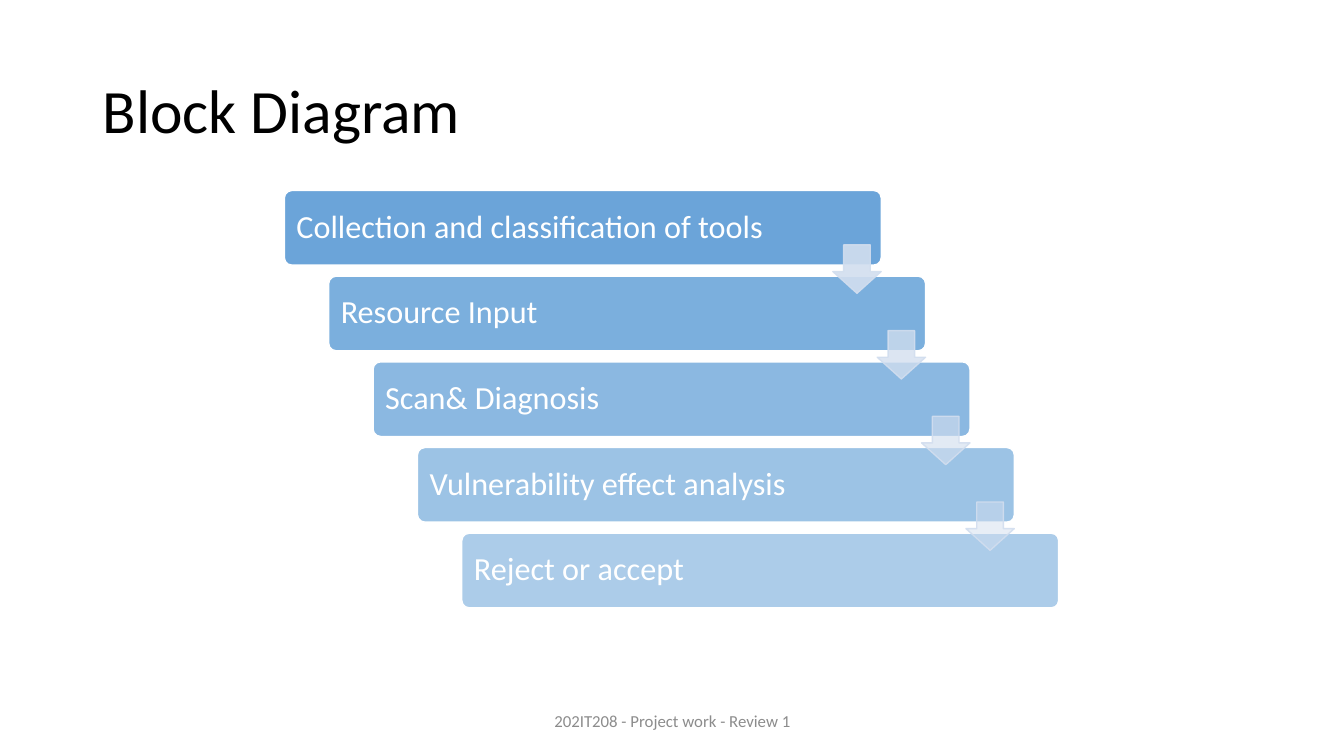
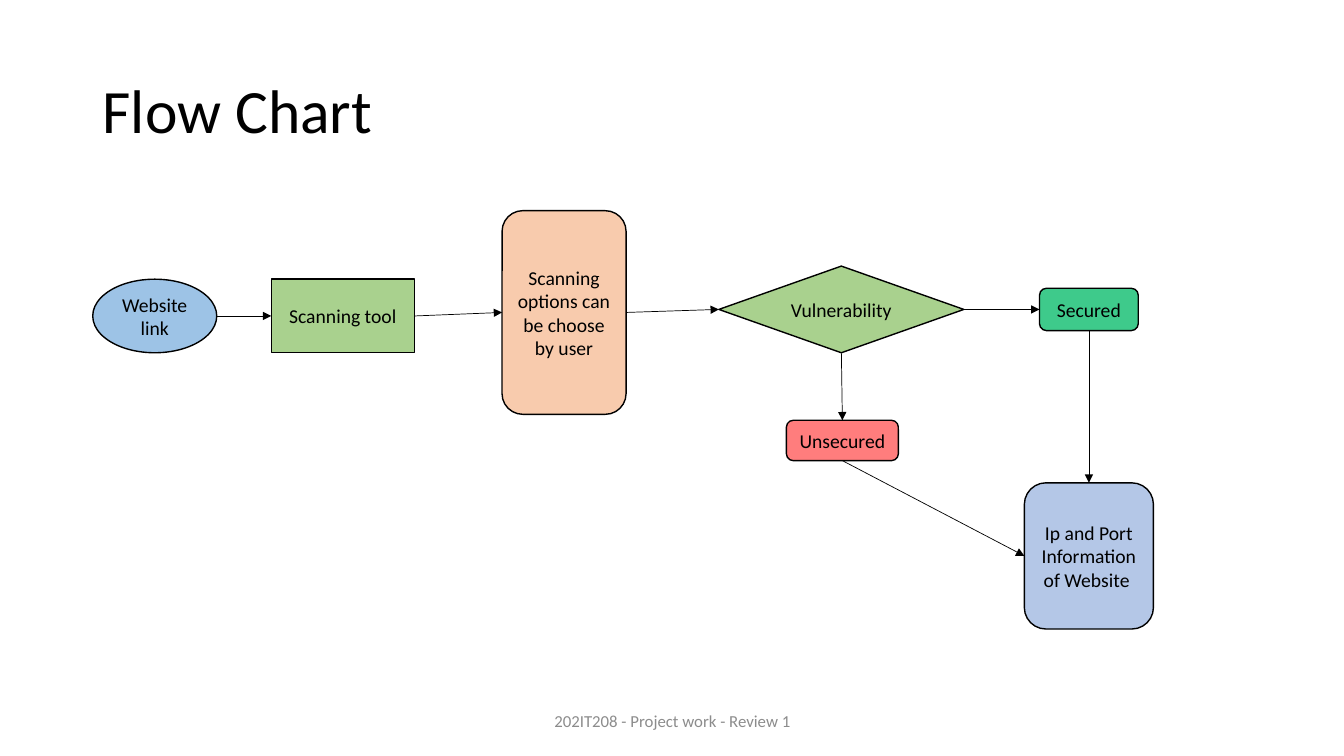
"""Build the block diagram and flow chart slides of a project review."""
from lxml import etree
from pptx import Presentation
from pptx.dml.color import RGBColor
from pptx.enum import shapes, text
from pptx.oxml.ns import qn
from pptx.util import Inches, Pt

COLORS = {
    "ink": "000000", "paper": "FFFFFF", "footer": "8C8C8C",
    "step": "5B9BD5", "arrow": "D2DEEF", "start": "9DC3E6",
    "process": "A9D18E", "options": "F8CBAD", "secured": "3ECA8B",
    "unsecured": "FF7D7D", "result": "B4C7E7",
}
FORM = shapes.MSO_SHAPE
ALIGN = text.PP_ALIGN
TOP, LEFT, BOTTOM, RIGHT = range(4)
FOOTER = "202IT208 - Project work - Review 1"
TITLE_STYLE = {"size": 44, "color": "ink", "align": ALIGN.LEFT, "spacing": 0.9}
FOOTER_STYLE = {"size": 12, "color": "footer", "align": ALIGN.CENTER}
STEP_STYLE = {"size": 23, "color": "paper", "align": ALIGN.LEFT, "spacing": 0.9}
NODE_STYLE = {"size": 14, "color": "ink", "align": ALIGN.CENTER, "inset": 0.08}

STEPS = ["Collection and classification of tools", "Resource Input",
         "Scan& Diagnosis", "Vulnerability effect analysis", "Reject or accept"]
ARROW_ALPHAS = [90, 77, 63, 50]

NODES = {
    "tool": ("Scanning tool", FORM.RECTANGLE, "process", (2.69, 2.77, 1.42, 0.73)),
    "link": ("Website link", FORM.OVAL, "start", (0.92, 2.77, 1.23, 0.73)),
    "options": ("Scanning options can be choose by user", FORM.ROUNDED_RECTANGLE,
                "options", (4.98, 2.09, 1.23, 2.02)),
    "check": ("Vulnerability", FORM.DIAMOND, "process", (7.13, 2.64, 2.43, 0.86)),
    "secured": ("Secured", FORM.ROUNDED_RECTANGLE, "secured", (10.31, 2.86, 0.98, 0.42)),
    "unsecured": ("Unsecured", FORM.ROUNDED_RECTANGLE, "unsecured", (7.8, 4.17, 1.11, 0.4)),
    "result": ("Ip and Port Information of Website ", FORM.ROUNDED_RECTANGLE,
               "result", (10.16, 4.79, 1.28, 1.45)),
}
FLOWS = [
    ("link", RIGHT, "tool", LEFT), ("tool", RIGHT, "options", LEFT),
    ("options", RIGHT, "check", LEFT), ("check", RIGHT, "secured", LEFT),
    ("check", BOTTOM, "unsecured", TOP), ("unsecured", BOTTOM, "result", LEFT),
    ("secured", BOTTOM, "result", TOP),
]


def rgb(name):
    return RGBColor.from_string(COLORS[name])


def write(shape, words, style):
    frame = shape.text_frame
    inset = Inches(style.get("inset", 0.1))
    settings = {"word_wrap": True, "vertical_anchor": text.MSO_ANCHOR.MIDDLE,
                "margin_left": inset, "margin_right": inset}
    for key, value in settings.items():
        setattr(frame, key, value)
    paragraph = frame.paragraphs[0]
    paragraph.text = words
    paragraph.alignment = style["align"]
    paragraph.line_spacing = style.get("spacing", 1.0)
    for key, value in {"name": "Calibri", "size": Pt(style["size"])}.items():
        setattr(paragraph.font, key, value)
    paragraph.font.color.rgb = rgb(style["color"])


def add_label(slide, words, box, style):
    write(slide.shapes.add_textbox(*map(Inches, box)), words, style)


def set_alpha(fill_format, percent):
    color = fill_format._xPr.find(qn("a:solidFill"))[0]
    etree.SubElement(color, qn("a:alpha"), val=str(percent * 1000))


def add_block(slide, form, box, fill, line, fill_alpha=100, line_alpha=100, adjust=()):
    block = slide.shapes.add_shape(form, *map(Inches, box))
    block.shadow.inherit = False
    for index, value in enumerate(adjust):
        block.adjustments[index] = value
    block.line.width = Pt(1)
    paints = ((block.fill, fill, fill_alpha), (block.line.fill, line, line_alpha))
    for paint, color, alpha in paints:
        paint.solid()
        paint.fore_color.rgb = rgb(color)
        if alpha < 100:
            set_alpha(paint, alpha)
    return block


def side_point(shape, side):
    across = {LEFT: 0, RIGHT: shape.width}.get(side, shape.width // 2)
    down = {TOP: 0, BOTTOM: shape.height}.get(side, shape.height // 2)
    return shape.left + across, shape.top + down


def add_flow(slide, source, source_side, target, target_side):
    flow = slide.shapes.add_connector(
        shapes.MSO_CONNECTOR.STRAIGHT,
        *side_point(source, source_side), *side_point(target, target_side))
    if source.auto_shape_type != FORM.OVAL:
        flow.begin_connect(source, source_side)
    flow.end_connect(target, target_side)
    flow.line.width = Pt(0.5)
    flow.line.color.rgb = rgb("ink")
    etree.SubElement(flow.line._get_or_add_ln(), qn("a:tailEnd"), type="triangle")
    etree.SubElement(flow._element.spPr, qn("a:effectLst"))


def add_page(deck, title):
    slide = deck.slides.add_slide(deck.slide_layouts[6])
    add_label(slide, title, (0.92, 0.4, 11.5, 1.45), TITLE_STYLE)
    add_label(slide, FOOTER, (4.42, 6.95, 4.5, 0.4), FOOTER_STYLE)
    return slide


def add_staircase(slide):
    left, top, width, height = 2.82, 1.89, 5.92, 0.74
    shift, drop, arrow_size = 0.44, 0.85, 0.48
    for index, words in enumerate(STEPS):
        box = (left + index * shift, top + index * drop, width, height)
        step = add_block(slide, FORM.ROUNDED_RECTANGLE, box, "step", "paper",
                         fill_alpha=90 - 10 * index, adjust=[0.1])
        write(step, words, STEP_STYLE)
    for index, alpha in enumerate(ARROW_ALPHAS):
        box = (left + width - arrow_size + index * shift,
               top + 0.54 + index * drop, arrow_size, arrow_size)
        add_block(slide, FORM.DOWN_ARROW, box, "arrow", "arrow",
                  fill_alpha=alpha, line_alpha=90, adjust=[0.55, 0.45])


def add_flow_chart(slide):
    nodes = {}
    for key, (words, form, fill, box) in NODES.items():
        nodes[key] = add_block(slide, form, box, fill, "ink")
        write(nodes[key], words, NODE_STYLE)
    for source, source_side, target, target_side in FLOWS:
        add_flow(slide, nodes[source], source_side, nodes[target], target_side)


def main():
    deck = Presentation()
    deck.slide_width, deck.slide_height = Inches(13.33), Inches(7.5)
    add_staircase(add_page(deck, "Block Diagram"))
    add_flow_chart(add_page(deck, "Flow Chart"))
    deck.save("out.pptx")


if __name__ == "__main__":
    main()
